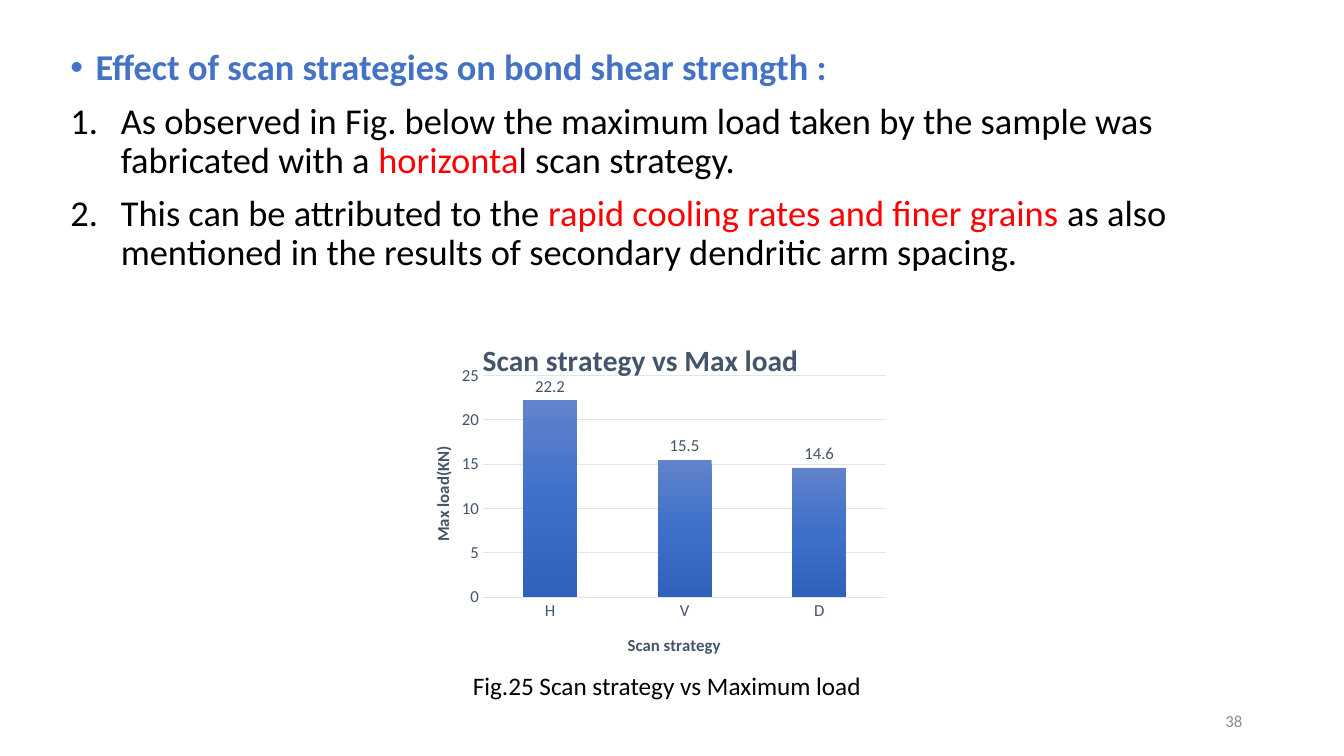
from lxml import etree
from pptx import Presentation
from pptx.chart.data import CategoryChartData
from pptx.dml.color import RGBColor
from pptx.enum.chart import XL_CHART_TYPE as ChartType, XL_LABEL_POSITION as LabelPosition, XL_TICK_MARK as TickMark
from pptx.enum.text import MSO_ANCHOR as Anchor, PP_ALIGN as Align
from pptx.oxml.ns import qn
from pptx.util import Inches, Pt

FONT = "Calibri"
BLACK, RED, BLUE = "000000", "FF0000", "4472C4"
SLATE, GRID, GRAY = "44546A", "E0E5EB", "8C8C8C"
BAR_STOPS = [(0, "6183CB"), (50, "3E70CA"), (100, "3062BB")]

presentation = Presentation()
presentation.slide_width = Inches(13.33)
presentation.slide_height = Inches(7.5)


def color(code):
    return RGBColor.from_string(code)


def share(left, top, width, height):
    """Turn percentages of the slide into a box."""
    across, down = presentation.slide_width / 100, presentation.slide_height / 100
    return int(left * across), int(top * down), int(width * across), int(height * down)


def style(font, size, code, bold=False):
    font.name, font.size, font.bold = FONT, Pt(size), bold
    font.color.rgb = color(code)


def add_run(paragraph, text, size, code, bold=False):
    run = paragraph.add_run()
    run.text = text
    style(run.font, size, code, bold)


def add_text_frame(slide, box):
    frame = slide.shapes.add_textbox(*box).text_frame
    frame.word_wrap = True
    return frame


def add_line(slide, box, text, size, code, align, anchor=Anchor.TOP):
    frame = add_text_frame(slide, box)
    frame.vertical_anchor = anchor
    paragraph = frame.paragraphs[0]
    paragraph.alignment = align
    add_run(paragraph, text, size, code)


def set_marker(paragraph, indent, tag, **attributes):
    properties = paragraph._p.get_or_add_pPr()
    properties.set("marL", str(Inches(indent)))
    properties.set("indent", str(-Inches(indent)))
    etree.SubElement(properties, qn("a:buFont"), typeface="Arial" if tag == "a:buChar" else "+mj-lt")
    etree.SubElement(properties, qn(tag), **attributes)


def add_findings(slide, box, heading, findings):
    """A bulleted heading above numbered findings."""
    frame = add_text_frame(slide, box)
    paragraph = frame.paragraphs[0]
    paragraph.line_spacing = 0.9
    set_marker(paragraph, 0.25, "a:buChar", char="•")
    add_run(paragraph, heading, 26, BLUE, True)
    for finding in findings:
        paragraph = frame.add_paragraph()
        paragraph.line_spacing = 0.9
        paragraph.space_before = Pt(10)
        set_marker(paragraph, 0.5, "a:buAutoNum", type="arabicPeriod")
        for text, code in finding:
            add_run(paragraph, text, 26, code)


def set_layout(element, index, **places):
    """Fix the place of a chart part, in shares of the chart."""
    layout = element.find(qn("c:layout"))
    if layout is None:
        layout = etree.Element(qn("c:layout"))
        element.insert(index, layout)
    for child in list(layout):
        layout.remove(child)
    manual = etree.SubElement(layout, qn("c:manualLayout"))
    if "w" in places:
        etree.SubElement(manual, qn("c:layoutTarget"), val="inner")
    for mode in ("xMode", "yMode"):
        etree.SubElement(manual, qn(f"c:{mode}"), val="edge")
    for name, value in places.items():
        etree.SubElement(manual, qn(f"c:{name}"), val=str(value))


def add_title(title, text, size, x, y):
    add_run(title.text_frame.paragraphs[0], text, size, SLATE, True)
    set_layout(title._element, 1, x=x, y=y)


def fill_bars(series):
    fill = series.format.fill
    fill.gradient()
    fill.gradient_angle = 270
    stops = series._element.find(".//" + qn("a:gsLst"))
    for stop in list(stops):
        stops.remove(stop)
    for position, code in BAR_STOPS:
        stop = etree.SubElement(stops, qn("a:gs"), pos=str(position * 1000))
        etree.SubElement(stop, qn("a:srgbClr"), val=code)


def add_load_chart(slide, box):
    data = CategoryChartData()
    data.categories = ["H", "V", "D"]
    data.add_series("Series 1", [22.2, 15.5, 14.6])
    chart = slide.shapes.add_chart(ChartType.COLUMN_CLUSTERED, *box, data).chart
    chart.has_legend = False
    style(chart.font, 12, SLATE)
    chart.has_title = True
    add_title(chart.chart_title, "Scan strategy vs Max load", 21, 0.21, 0.06)
    set_layout(chart._chartSpace.chart.plotArea, 0, x=0.22, y=0.17, w=0.74, h=0.59)

    category_axis, value_axis = chart.category_axis, chart.value_axis
    for axis, title, x, y in ((category_axis, "Scan strategy", 0.48, 0.85),
                              (value_axis, "Max load(KN)", 0.12, 0.35)):
        axis.major_tick_mark = axis.minor_tick_mark = TickMark.NONE
        style(axis.tick_labels.font, 12, SLATE)
        add_title(axis.axis_title, title, 12, x, y)
    value_axis.minimum_scale, value_axis.maximum_scale, value_axis.major_unit = 0, 25, 5
    value_axis.format.line.fill.background()
    for line in (category_axis.format.line, value_axis.major_gridlines.format.line):
        line.color.rgb = color(GRID)
        line.width = Pt(0.75)

    plot = chart.plots[0]
    plot.gap_width = 150
    plot.vary_by_categories = False
    fill_bars(plot.series[0])
    plot.has_data_labels = True
    labels = plot.data_labels
    labels.show_value = True
    labels.position = LabelPosition.OUTSIDE_END
    style(labels.font, 12, SLATE)


def main():
    slide = presentation.slides.add_slide(presentation.slide_layouts[6])
    add_findings(slide, share(4.5, 5.87, 88.6, 88), "Effect of scan strategies on bond shear strength :", [
        [("As observed in Fig. below the maximum load taken by the sample was fabricated with a ", BLACK),
         ("horizonta", RED), ("l scan strategy.", BLACK)],
        [("This can be attributed to the ", BLACK), ("rapid cooling rates and finer grains ", RED),
         ("as also mentioned in the results of secondary dendritic arm spacing.", BLACK)],
    ])
    add_line(slide, share(70.67, 92.67, 22.5, 5.33), "38", 12, GRAY, Align.RIGHT, Anchor.MIDDLE)
    add_load_chart(slide, share(27, 41.2, 40.58, 49.73))
    add_line(slide, share(29.33, 88, 40.58, 5.33), "Fig.25 Scan strategy vs Maximum load", 18, BLACK, Align.CENTER)
    presentation.save("out.pptx")


if __name__ == "__main__":
    main()
